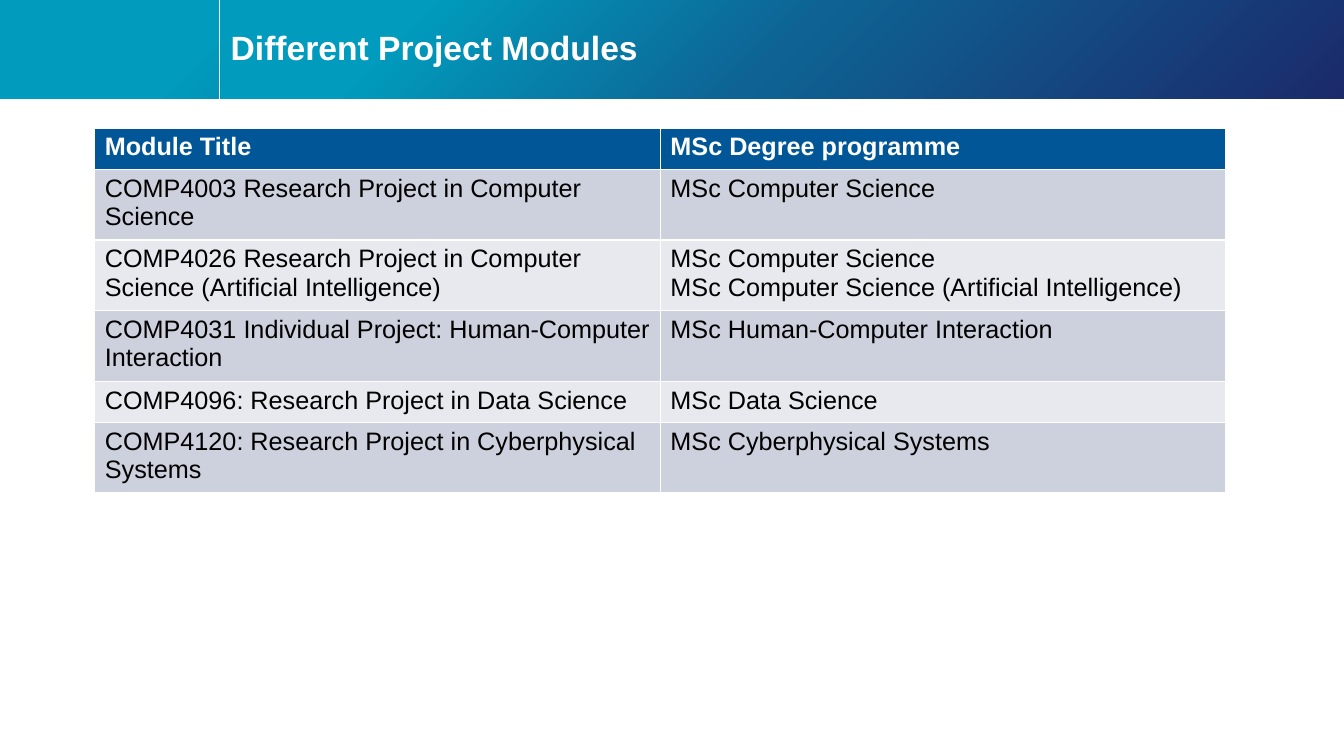
"""Build the slide that lists the project modules and their degree programmes."""
from copy import deepcopy

from pptx import Presentation
from pptx.dml.color import RGBColor
from pptx.enum.shapes import MSO_CONNECTOR, MSO_SHAPE
from pptx.enum.text import MSO_ANCHOR
from pptx.oxml.ns import qn
from pptx.util import Inches, Pt
from lxml import etree

RECTANGLE = MSO_SHAPE.RECTANGLE
STRAIGHT = MSO_CONNECTOR.STRAIGHT
MIDDLE = MSO_ANCHOR.MIDDLE

WIDTH, HEIGHT = 13.33, 7.5
BAND_HEIGHT = 0.98
DIVIDER_LEFT = 2.18
TITLE_LEFT = 2.19
BAND_STOPS = [(0.17, "009BBD"), (0.5, "0E6394"), (1, "1B2A6B")]
HEADER_FILL = "005697"
ROW_FILLS = ["E7E9EF", "CCD1DD"]
ROWS = [
    ("Module Title", "MSc Degree programme"),
    ("COMP4003 Research Project in Computer Science", "MSc Computer Science"),
    ("COMP4026 Research Project in Computer Science (Artificial Intelligence)",
     "MSc Computer Science\nMSc Computer Science (Artificial Intelligence)"),
    ("COMP4031 Individual Project: Human-Computer Interaction",
     "MSc Human-Computer Interaction"),
    ("COMP4096: Research Project in Data Science", "MSc Data Science"),
    ("COMP4120: Research Project in Cyberphysical Systems",
     "MSc Cyberphysical Systems"),
]


def rgb(value):
    return RGBColor.from_string(value)


def write(frame, text, size=18, color="000000", bold=False, spacing=1.0):
    frame.text = text
    for para in frame.paragraphs:
        para.line_spacing = spacing
        for span in para.runs:
            span.font.name = "Arial"
            span.font.size = Pt(size)
            span.font.bold = bold
            span.font.color.rgb = rgb(color)


deck = Presentation()
deck.slide_width, deck.slide_height = Inches(WIDTH), Inches(HEIGHT)
page = deck.slides.add_slide(deck.slide_layouts[6])

for left in (0, TITLE_LEFT):
    band = page.shapes.add_shape(RECTANGLE, Inches(left), 0,
                                 Inches(WIDTH - left), Inches(BAND_HEIGHT))
    band.shadow.inherit = False
    band.line.fill.background()
    band.fill.gradient()
    band.fill.gradient_angle = 315
    stop_list = band._element.spPr.find(".//" + qn("a:gsLst"))
    stop_list.append(deepcopy(stop_list[0]))
    for stop, (position, color) in zip(band.fill.gradient_stops, BAND_STOPS):
        stop.position = position
        stop.color.rgb = rgb(color)

divider = page.shapes.add_connector(STRAIGHT, Inches(DIVIDER_LEFT), 0,
                                    Inches(DIVIDER_LEFT), Inches(BAND_HEIGHT))
divider.line.color.rgb = rgb("FFFFFF")
divider.line.width = Pt(0.5)
etree.SubElement(divider._element.spPr, qn("a:effectLst"))

title = page.shapes.add_textbox(Inches(TITLE_LEFT), Inches(0.11),
                                Inches(WIDTH - TITLE_LEFT), Inches(0.76))
title.text_frame.word_wrap = True
title.text_frame.vertical_anchor = MIDDLE
write(title.text_frame, "Different Project Modules", size=24, color="FFFFFF",
      bold=True, spacing=0.9)

modules = page.shapes.add_table(len(ROWS), 2, Inches(0.94), Inches(1.27),
                                Inches(11.22), Inches(0.41 * len(ROWS))).table
for row, texts in enumerate(ROWS):
    header = row == 0
    for column, text in enumerate(texts):
        cell = modules.cell(row, column)
        cell.fill.solid()
        cell.fill.fore_color.rgb = rgb(HEADER_FILL if header else ROW_FILLS[row % 2])
        write(cell.text_frame, text, bold=header,
              color="FFFFFF" if header else "000000")

deck.save("out.pptx")
